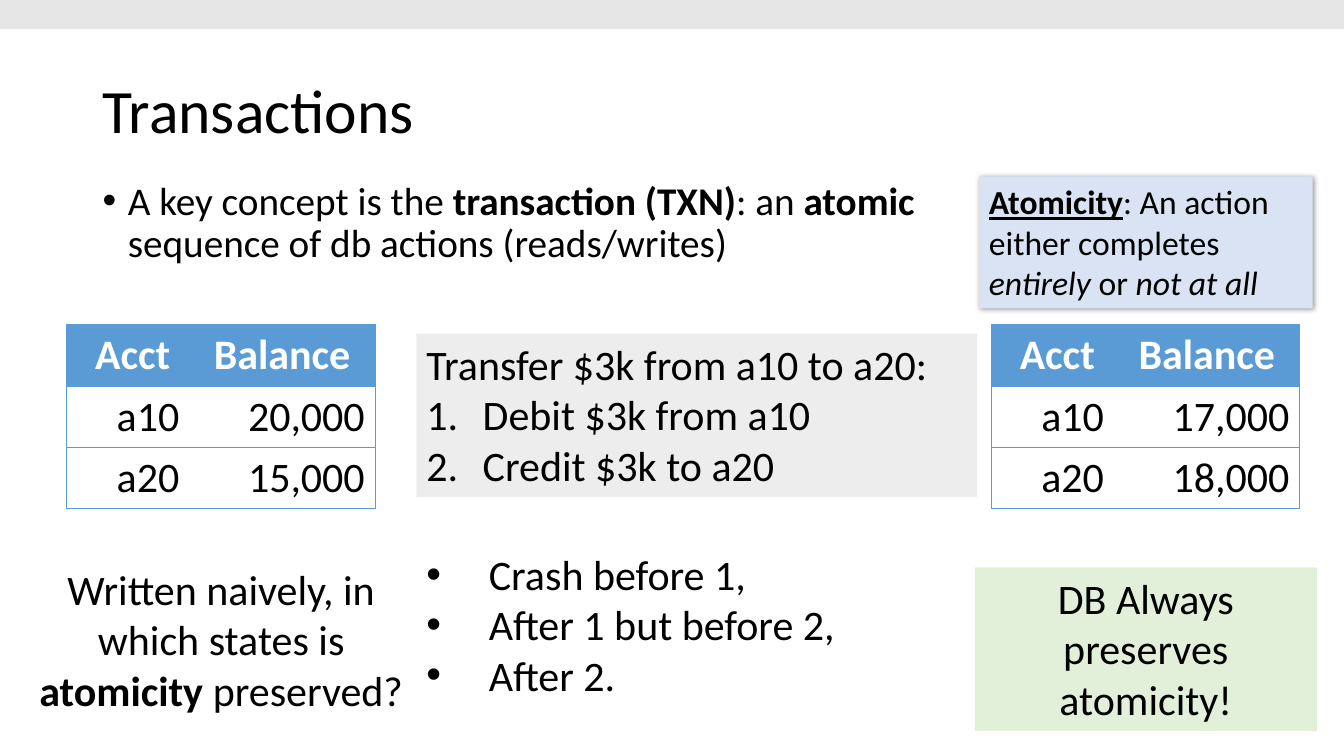
from lxml.etree import SubElement as Sub
from pptx import Presentation
from pptx.dml.color import RGBColor as RGB
from pptx.enum.shapes import MSO_SHAPE as Kind
from pptx.enum.text import MSO_ANCHOR as Anchor, MSO_AUTO_SIZE as Auto, PP_ALIGN as Align
from pptx.oxml import parse_xml
from pptx.oxml.ns import nsdecls, qn
from pptx.util import Inches, Pt

BLACK, WHITE, BLUE = "000000", "FFFFFF", "5B9BD5"
BOLD, ITALIC = {"bold": True}, {"italic": True}
MID = {"alignment": Align.CENTER}
TIGHT = {"line_spacing": 0.9}


def color(code):
    """Turn a hex string into a colour."""
    return RGB.from_string(code)


def style(obj, form):
    """Set each attribute in a dict of format values."""
    for key, val in form.items():
        setattr(obj, key, val)


def mark(par, sign, dent):
    """Give a paragraph a bullet or a number with a hanging indent."""
    props = par._p.get_or_add_pPr()
    props.set("marL", str(Inches(dent)))
    props.set("indent", str(-Inches(dent)))
    if sign == "1.":
        Sub(props, qn("a:buAutoNum"), type="arabicPeriod")
    else:
        Sub(props, qn("a:buFont"), typeface="Arial")
        Sub(props, qn("a:buChar"), char=sign)


def write(par, runs, size, form, code=BLACK):
    """Fill a paragraph with runs of plain or formatted text."""
    style(par, form)
    for item in runs:
        text, look = (item, {}) if isinstance(item, str) else item
        run = par.add_run()
        run.text = text
        style(run.font, {"name": "Calibri", "size": Pt(size), **look})
        run.font.color.rgb = color(code)


def fill_text(shape, pars, size, form, anchor=Anchor.TOP, fit=Auto.NONE):
    """Write paragraphs, each a (sign, indent, runs) triple, into a shape."""
    frame = shape.text_frame
    style(frame, {"word_wrap": True, "auto_size": fit, "vertical_anchor": anchor})
    for num, (sign, dent, runs) in enumerate(pars):
        par = frame.add_paragraph() if num else frame.paragraphs[0]
        write(par, runs, size, {"alignment": Align.LEFT, **form})
        if sign:
            mark(par, sign, dent)


def add_text(slide, box, pars, size=30, form={}, **frame):
    """Add a text box."""
    shape = slide.shapes.add_textbox(*map(Inches, box))
    fill_text(shape, pars, size, form, **frame)


def add_panel(slide, box, code, pars=(), size=30, form={}):
    """Add a filled rectangle without an outline."""
    shape = slide.shapes.add_shape(Kind.RECTANGLE, *map(Inches, box))
    shape.shadow.inherit = False
    shape.fill.solid()
    shape.fill.fore_color.rgb = color(code)
    shape.line.fill.background()
    fill_text(shape, pars, size, form)
    return shape


def add_shade(shape):
    """Give a shape a soft shadow to the lower right."""
    effect = shape._element.spPr.find(qn("a:effectLst"))
    effect.append(parse_xml(
        f'<a:outerShdw {nsdecls("a")} blurRad="{Pt(4)}" dist="{Pt(1)}" dir="2700000" '
        'algn="tl" rotWithShape="0"><a:srgbClr val="000000">'
        '<a:alpha val="40000"/></a:srgbClr></a:outerShdw>'))


def set_edges(cell, sides):
    """Draw thin blue borders on the given sides and clear the others."""
    props = cell._tc.get_or_add_tcPr()
    for num, side in enumerate("LRTB"):
        paint = (f'<a:solidFill><a:srgbClr val="{BLUE}"/></a:solidFill>'
                 if side in sides else "<a:noFill/>")
        props.insert(num, parse_xml(
            f'<a:ln{side} {nsdecls("a")} w="{Pt(0.5)}">{paint}</a:ln{side}>'))


def add_grid(slide, left, sums):
    """Add an account table with the given balances."""
    rows = [(" Acct", "Balance"), *zip(("a10", "a20"), sums)]
    spot = map(Inches, (left, 3.22, 3.06, 1.8))
    table = slide.shapes.add_table(len(rows), 2, *spot).table
    table.horz_banding = False
    for col, width in zip(table.columns, (1.22, 1.84)):
        col.width = Inches(width)
    for r, row in enumerate(rows):
        for c, text in enumerate(row):
            cell = table.cell(r, c)
            cell.fill.solid()
            cell.fill.fore_color.rgb = color(WHITE if r else BLUE)
            set_edges(cell, "LR"[c] + "TB")
            form = {"alignment": Align.RIGHT} if r else MID
            write(cell.text_frame.paragraphs[0], [(text, {"bold": not r})],
                  30, form, BLACK if r else WHITE)


def main():
    """Build the slide and save it."""
    deck = Presentation()
    style(deck, {"slide_width": Inches(13.33), "slide_height": Inches(7.5)})
    slide = deck.slides.add_slide(deck.slide_layouts[6])

    add_text(slide, (0.92, 0.4, 11.5, 1.45), [("", 0, ["Transactions"])],
             44, TIGHT, anchor=Anchor.MIDDLE)
    add_text(slide, (0.92, 1.75, 8.39, 5.34), [("•", 0.25, [
        "A key concept is the ", ("transaction (TXN)", BOLD), ": an ",
        ("atomic ", BOLD), "sequence of db actions (reads/writes)"])],
        28, {**TIGHT, "space_before": Pt(10)})
    note = add_panel(slide, (9.71, 1.75, 3.31, 1.31), "DAE3F3", [("", 0, [
        ("Atomicity", {**BOLD, "underline": True}),
        ": An action either completes ", ("entirely", ITALIC), " or ",
        ("not at all", ITALIC)])], 24)
    add_shade(note)
    add_panel(slide, (0, 0, 13.33, 0.29), "E7E6E6")

    add_grid(slide, 0.66, ("20,000", "15,000"))
    add_grid(slide, 9.83, ("17,000", "18,000"))

    steps = ["Debit $3k from a10", "Credit $3k to a20"]
    add_panel(slide, (4.13, 3.31, 5.56, 1.62), "EDEDED",
              [("", 0, ["Transfer $3k from a10 to a20:"]),
               *(("1.", 0.56, [step]) for step in steps)])
    states = ["Crash before 1,", "After 1 but before 2,", "After 2."]
    add_text(slide, (4.13, 5.39, 5.43, 1.62),
             [("•", 0.62, [state]) for state in states], fit=Auto.SHAPE_TO_FIT_TEXT)
    add_text(slide, (0.21, 5.54, 3.97, 1.62), [("", 0, [
        "Written naively, in which states is ", ("atomicity", BOLD),
        " preserved?"])], form=MID, fit=Auto.SHAPE_TO_FIT_TEXT)
    add_panel(slide, (9.67, 5.63, 3.39, 1.62), "E2F0D9",
              [("", 0, ["DB Always preserves atomicity!"])], form=MID)
    deck.save("out.pptx")


if __name__ == "__main__":
    main()
